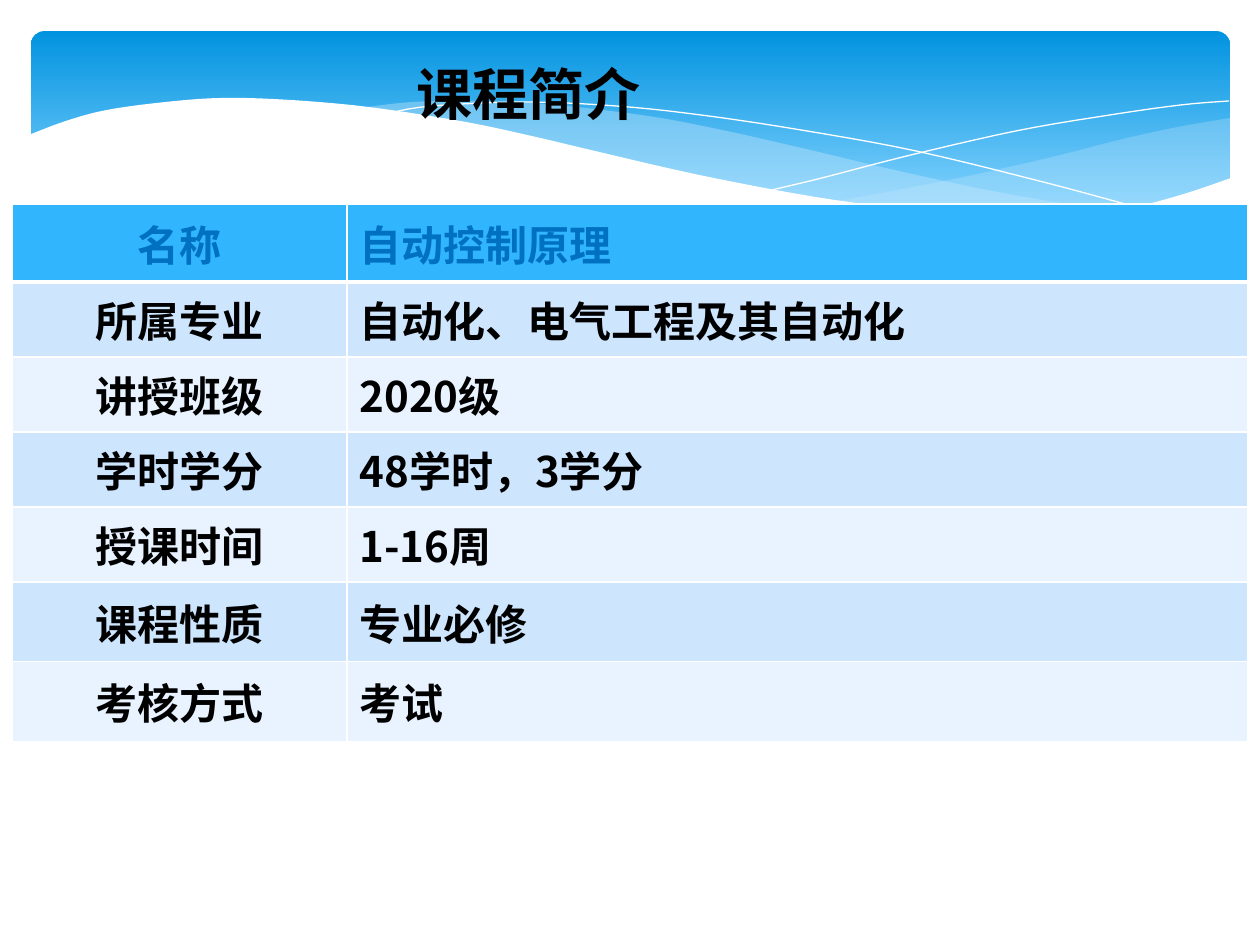
from lxml import etree
from pptx import Presentation
from pptx.dml.color import RGBColor
from pptx.enum.shapes import MSO_SHAPE
from pptx.enum.text import MSO_ANCHOR, PP_ALIGN
from pptx.oxml.ns import qn
from pptx.util import Pt

PX = 914400 / 126
ROUND_RECT = MSO_SHAPE.ROUNDED_RECTANGLE
MIDDLE = MSO_ANCHOR.MIDDLE
LEFT, CENTER = PP_ALIGN.LEFT, PP_ALIGN.CENTER
CJK, SERIF = "Noto Sans CJK SC", "Times New Roman"
WHITE, BLACK, PALE = "FFFFFF", "000000", "C6E7FC"
HEAD_FILL, HEAD_TEXT = "31B6FD", "0070C0"
BANDS = ["E8F3FF", "CEE5FE"]

ROWS = [
    ("名称", "自动控制原理"),
    ("所属专业", "自动化、电气工程及其自动化"),
    ("讲授班级", "2020级"),
    ("学时学分", "48学时，3学分"),
    ("授课时间", "1-16周"),
    ("课程性质", "专业必修"),
    ("考核方式", "考试"),
]
COL_WIDTHS = [335, 901]
ROW_HEIGHTS = [78] + [75] * 4 + [80] * 2

RIGHT_WAVE_TOP = [(1230, 118), (1178, 127), (1123, 139), (1048, 158), (949, 180), (833, 202)]
RIGHT_WAVE_BOTTOM = [(833, 202), (888, 209), (954, 214), (1026, 217), (1087, 214),
                     (1140, 205), (1187, 194), (1230, 178)]
MIDDLE_WAVE_TOP = [(1125, 210), (1055, 202), (977, 188), (890, 169), (793, 146), (717, 129),
                   (648, 116), (556, 105), (479, 101), (413, 102), (360, 108)]
MIDDLE_WAVE_BOTTOM = [(360, 108), (431, 118), (509, 134), (619, 159), (713, 180), (799, 197),
                      (876, 208), (959, 215), (1043, 218), (1125, 210)]
FALLING_LINE = [(389, 113), (432, 106), (524, 102), (616, 106), (701, 115), (801, 130),
                (916, 151), (1047, 183), (1143, 209)]
RISING_LINE = [(772, 190), (822, 178), (907, 156), (1016, 131), (1110, 115), (1181, 105),
               (1229, 101)]
WHITE_WAVE = [(1231, 178), (1184, 194), (1133, 207), (1071, 214), (999, 216), (915, 210),
              (815, 197), (699, 175), (599, 152), (527, 135), (460, 121), (368, 107),
              (290, 100), (223, 98), (166, 102), (107, 110), (66, 121), (29, 135)]


def px(n):
    return round(n * PX)


def rgb(color):
    return RGBColor.from_string(color)


def smooth(points, steps=5):
    """Catmull-Rom curve through the points."""
    padded = [points[0], *points, points[-1]]
    curve = []
    for a, b, c, d in zip(padded, padded[1:], padded[2:], padded[3:]):
        for t in (i / steps for i in range(steps)):
            curve.append(tuple(
                b[k] + t * (c[k] - a[k]) / 2
                + t * t * (2 * a[k] - 5 * b[k] + 4 * c[k] - d[k]) / 2
                + t ** 3 * (3 * b[k] - a[k] - 3 * c[k] + d[k]) / 2
                for k in (0, 1)))
    return curve + [points[-1]]


class Deck:
    def __init__(self, width, height):
        self.prs = Presentation()
        self.prs.slide_width, self.prs.slide_height = px(width), px(height)
        self.s = self.prs.slides.add_slide(self.prs.slide_layouts[6])

    def banner(self, x, y, w, h, top, bottom):
        sp = self.s.shapes.add_shape(ROUND_RECT, px(x), px(y), px(w), px(h))
        sp.adjustments[0] = 0.07
        sp.shadow.inherit = False
        sp.line.fill.background()
        sp.fill.gradient()
        sp.fill.gradient_angle = 270
        for stop, color, position in zip(sp.fill.gradient_stops, (top, bottom), (0, 0.9)):
            stop.color.rgb = rgb(color)
            stop.position = position

    def outline(self, points, closed):
        (x, y), *rest = [(px(x), px(y)) for x, y in points]
        builder = self.s.shapes.build_freeform(x, y)
        builder.add_line_segments(rest, close=closed)
        sp = builder.convert_to_shape()
        sp.shadow.inherit = False
        return sp

    def area(self, points, color, opacity=100):
        sp = self.outline(points, True)
        sp.line.fill.background()
        sp.fill.solid()
        sp.fill.fore_color.rgb = rgb(color)
        if opacity < 100:
            clr = sp.fill._xPr.find(qn("a:solidFill"))[0]
            etree.SubElement(clr, qn("a:alpha"), val=str(opacity * 1000))

    def curve(self, points, color):
        sp = self.outline(smooth(points), False)
        sp.fill.background()
        sp.line.color.rgb = rgb(color)
        sp.line.width = 0

    def style(self, p, size, font, color, align=LEFT):
        p.alignment = align
        p.font.size, p.font.bold, p.font.name = Pt(size), True, font
        p.font.color.rgb = rgb(color)
        etree.SubElement(p._p.pPr.find(qn("a:defRPr")), qn("a:ea"), typeface=CJK)

    def title(self, x, y, w, h, text):
        tf = self.s.shapes.add_textbox(px(x), px(y), px(w), px(h)).text_frame
        tf.word_wrap = True
        tf.margin_left = 0
        p = tf.paragraphs[0]
        p.text = text
        self.style(p, 32, SERIF, BLACK)

    def borders(self, cell, bottom):
        tcPr = cell._tc.get_or_add_tcPr()
        for i, (side, width) in enumerate(zip("LRTB", (1, 1, 1, bottom))):
            ln = etree.Element(qn(f"a:ln{side}"), w=str(Pt(width)))
            fill = etree.SubElement(ln, qn("a:solidFill"))
            etree.SubElement(fill, qn("a:srgbClr"), val=WHITE)
            tcPr.insert(i, ln)

    def table(self, x, y, widths, heights, rows):
        frame = self.s.shapes.add_table(len(rows), len(widths), px(x), px(y),
                                        px(sum(widths)), px(sum(heights)))
        table = frame.table
        for column, w in zip(table.columns, widths):
            column.width = px(w)
        for i, (row, h, texts) in enumerate(zip(table.rows, heights, rows)):
            row.height = px(h)
            head = i == 0
            for cell, text, align in zip(row.cells, texts, (CENTER, LEFT)):
                cell.vertical_anchor = MIDDLE
                cell.fill.solid()
                cell.fill.fore_color.rgb = rgb(HEAD_FILL if head else BANDS[i % 2])
                p = cell.text_frame.paragraphs[0]
                p.text = text
                self.style(p, 24, CJK, HEAD_TEXT if head else BLACK, align)
                # The header's lower rule is shared with the row below it.
                self.borders(cell, 3 if head else 1)
                if i == 1:
                    cell._tc.tcPr.find(qn("a:lnT")).set("w", str(Pt(3)))


def main():
    deck = Deck(1260, 945)
    deck.banner(31, 31, 1199, 197, "0293E0", "83D3FE")
    deck.area(smooth(RIGHT_WAVE_TOP) + smooth(RIGHT_WAVE_BOTTOM), PALE, 29)
    deck.area(smooth(MIDDLE_WAVE_TOP) + smooth(MIDDLE_WAVE_BOTTOM), PALE, 40)
    deck.curve(FALLING_LINE, WHITE)
    deck.curve(RISING_LINE, WHITE)
    deck.area(smooth(WHITE_WAVE) + [(29, 282), (1231, 282)], WHITE)
    deck.title(417, 53, 620, 81, "课程简介")
    deck.table(12, 204, COL_WIDTHS, ROW_HEIGHTS, ROWS)
    deck.prs.save("out.pptx")


if __name__ == "__main__":
    main()
